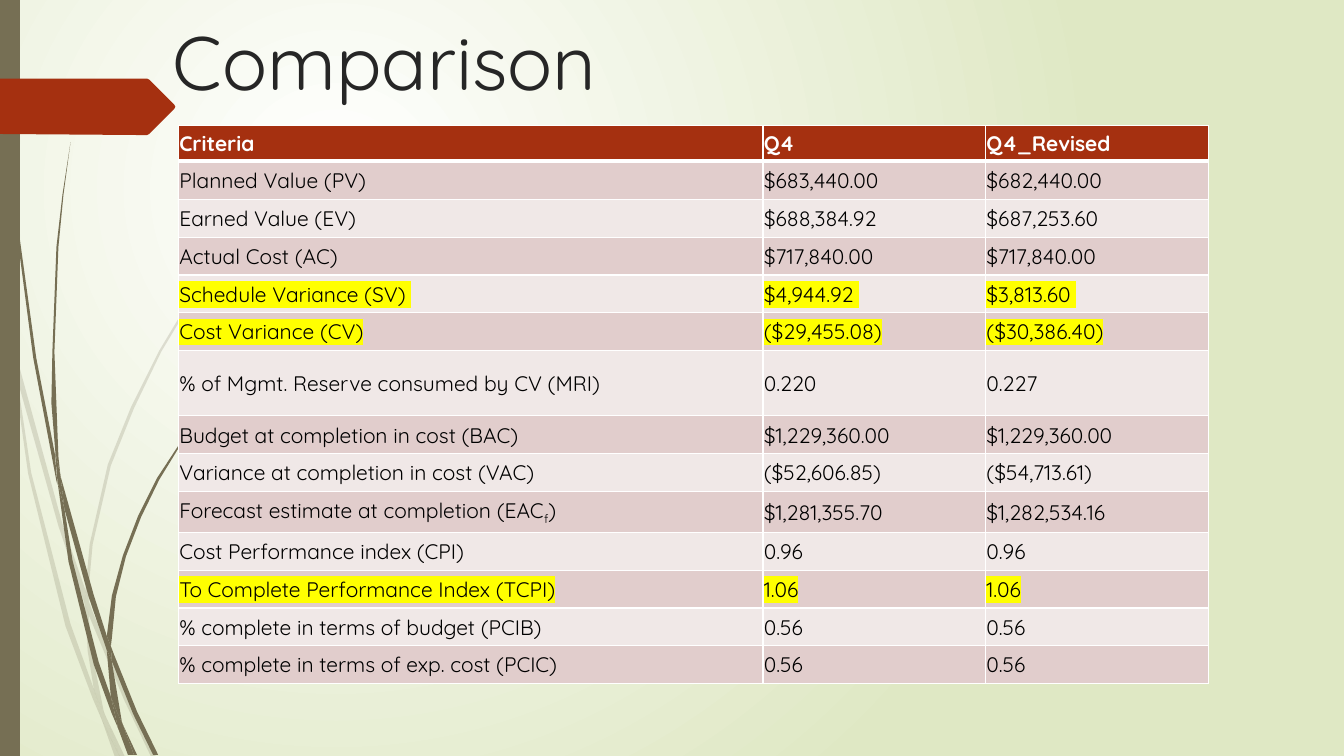
from dataclasses import dataclass
from typing import NamedTuple

from lxml import etree
from pptx import Presentation
from pptx.dml.color import RGBColor
from pptx.enum.shapes import MSO_SHAPE
from pptx.enum.text import MSO_ANCHOR
from pptx.oxml.ns import qn
from pptx.shapes.autoshape import Shape
from pptx.shapes.shapetree import GroupShapes, SlideShapes
from pptx.slide import Slide
from pptx.table import _Cell
from pptx.text.text import _Paragraph
from pptx.util import Cm, Pt

RECTANGLE = MSO_SHAPE.RECTANGLE
MIDDLE, TOP = MSO_ANCHOR.MIDDLE, MSO_ANCHOR.TOP
OUTLINE_UNIT = Cm(2.54) / 100  # outlines count hundredths of an inch

Points = list[tuple[int, int]]


@dataclass(frozen=True)
class Theme:
    font: str = "Quicksand"
    title_size: int = 54
    table_size: int = 15
    title: str = "262626"
    body: str = "000000"
    white: str = "FFFFFF"
    accent: str = "A53010"
    stem: str = "766F54"
    backdrop: str = "DFE8C4"
    marker: str = "FFFF00"
    bands: tuple[str, str] = ("E1CDCC", "F0E8E7")


class Row(NamedTuple):
    criteria: str
    q4: str
    revised: str
    height: float = 0.95
    marked: bool = False
    subscript: str = ""


class Plant(NamedTuple):
    opacity: int
    blades: list[Points]


THEME = Theme()

HEADER = Row("Criteria", "Q4", "Q4_Revised", 0.89)
ROWS = [
    Row("Planned Value (PV)", "$683,440.00", "$682,440.00", 0.98),
    Row("Earned Value (EV)", "$688,384.92", "$687,253.60"),
    Row("Actual Cost (AC)", "$717,840.00", "$717,840.00"),
    Row("Schedule Variance (SV) ", "$4,944.92 ", "$3,813.60 ", marked=True),
    Row("Cost Variance (CV)", "($29,455.08)", "($30,386.40)", marked=True),
    Row("% of Mgmt. Reserve consumed by CV (MRI)", "0.220", "0.227", 1.65),
    Row("Budget at completion in cost (BAC)", "$1,229,360.00", "$1,229,360.00"),
    Row("Variance at completion in cost (VAC)", "($52,606.85)", "($54,713.61)"),
    Row("Forecast estimate at completion (EAC", "$1,281,355.70", "$1,282,534.16", 1.04, subscript="f"),
    Row("Cost Performance index (CPI)", "0.96", "0.96"),
    Row("To Complete Performance Index (TCPI)", "1.06", "1.06", marked=True),
    Row("% complete in terms of budget (PCIB)", "0.56", "0.56"),
    Row("% complete in terms of exp. cost (PCIC)", "0.56", "0.56"),
]
COLUMN_WIDTHS = (14.73, 5.61, 5.61)

PALE_PLANT = Plant(20, [
    [(11, 350), (9, 322), (0, 282), (0, 299), (10, 344)],
    [(58, 522), (84, 599), (85, 586), (62, 520), (14, 345), (17, 376)],
    [(92, 607), (88, 596), (88, 610), (123, 694), (150, 751), (155, 751), (127, 692)],
    [(119, 751), (124, 751), (105, 711)],
    [(93, 683), (70, 619), (31, 469), (17, 376), (11, 350), (28, 470), (65, 621), (92, 693),
     (101, 714), (99, 707)],
    [(84, 599), (87, 646), (93, 683), (96, 692), (105, 711), (103, 706), (91, 646), (88, 610),
     (88, 608)],
    [(88, 584), (92, 540), (110, 462), (133, 405), (160, 349), (193, 294), (229, 245), (268, 198),
     (290, 175), (312, 154), (312, 153), (289, 175), (268, 197), (228, 244), (191, 293),
     (158, 348), (130, 404), (107, 461), (89, 540), (85, 584), (85, 586), (88, 596)],
    [(101, 714), (114, 751), (119, 751)],
    [(88, 608), (88, 610), (88, 596), (85, 586), (84, 599)],
    [(96, 692), (93, 683), (99, 707), (101, 714), (119, 751), (105, 711)],
])
DARK_PLANT = Plant(100, [
    [(7, 110), (17, 233), (33, 355), (56, 477), (57, 481), (55, 457), (55, 453), (36, 355),
     (19, 232), (8, 109), (5, 48), (4, 0), (3, 0), (4, 48)],
    [(88, 592), (106, 645), (106, 631), (93, 590), (60, 472), (64, 505)],
    [(113, 649), (110, 641), (111, 656), (132, 708), (152, 749), (157, 749), (136, 706)],
    [(110, 691), (98, 657), (72, 556), (64, 505), (57, 477), (68, 557), (93, 659), (111, 708),
     (117, 722), (116, 717)],
    [(60, 472), (58, 453), (54, 349), (58, 245), (63, 193), (70, 141), (62, 193), (56, 245),
     (52, 349), (51, 400), (55, 449)],
    [(133, 749), (136, 749), (122, 719)],
    [(57, 477), (64, 505), (60, 472), (55, 449), (55, 453)],
    [(111, 633), (115, 592), (125, 552), (140, 513), (158, 476), (180, 440), (205, 406),
     (231, 374), (245, 359), (261, 344), (260, 344), (245, 358), (231, 373), (204, 405),
     (179, 439), (156, 474), (137, 512), (122, 551), (111, 591), (106, 631), (110, 641)],
    [(117, 722), (127, 749), (131, 749)],
    [(106, 645), (110, 691), (116, 706), (122, 719), (121, 716), (111, 656), (109, 651)],
    [(106, 645), (109, 651), (111, 656), (110, 641), (106, 631)],
    [(116, 706), (110, 691), (116, 717), (117, 722), (130, 749), (133, 749), (122, 719)],
])
ARROW: Points = [(0, 78), (146, 78), (148, 79), (173, 104), (174, 106), (173, 108), (148, 133),
                 (146, 134), (136, 134), (0, 133)]


def rgb(code: str) -> RGBColor:
    return RGBColor.from_string(code)


def paint(shape: Shape, colour: str, opacity: int = 100) -> None:
    shape.shadow.inherit = False
    shape.line.fill.background()
    shape.fill.solid()
    shape.fill.fore_color.rgb = rgb(colour)
    if opacity < 100:
        tint = shape.fill._xPr.find(qn("a:solidFill"))[0]
        etree.SubElement(tint, qn("a:alpha"), val=str(opacity * 1000))


def draw_outline(shapes: SlideShapes | GroupShapes, points: Points, colour: str,
                 opacity: int = 100) -> None:
    start, *rest = points
    outline = shapes.build_freeform(*start, scale=OUTLINE_UNIT)
    outline.add_line_segments(rest, close=True)
    paint(outline.convert_to_shape(), colour, opacity)


def write(para: _Paragraph, text: str, size: int, colour: str, bold: bool = False,
          marked: bool = False, lowered: bool = False) -> None:
    span = para.add_run()
    span.text = text
    span.font.color.rgb = rgb(colour)
    for name, value in {"name": THEME.font, "size": Pt(size), "bold": bold}.items():
        setattr(span.font, name, value)
    properties = span.font._element
    if lowered:
        properties.set("baseline", "-25000")
    if marked:
        highlight = etree.Element(qn("a:highlight"))
        etree.SubElement(highlight, qn("a:srgbClr"), val=THEME.marker)
        properties.find(qn("a:solidFill")).addnext(highlight)


def draw_borders(cell: _Cell, bottom: float) -> None:
    properties = cell._tc.get_or_add_tcPr()
    widths = {"a:lnL": 1, "a:lnR": 1, "a:lnT": 1, "a:lnB": bottom}
    for place, (tag, width) in enumerate(widths.items()):
        border = etree.Element(qn(tag), w=str(Pt(width)))
        fill = etree.SubElement(border, qn("a:solidFill"))
        etree.SubElement(fill, qn("a:srgbClr"), val=THEME.white)
        properties.insert(place, border)


def draw_background(page: Slide) -> None:
    fill = page.background.fill
    fill.gradient()
    for stop, position, colour in zip(fill.gradient_stops, (0, 1), (THEME.white, THEME.backdrop)):
        stop.position = position
        stop.color.rgb = rgb(colour)
    gradient = page._element.find(".//" + qn("a:gradFill"))
    gradient.remove(gradient.find(qn("a:lin")))
    circle = etree.SubElement(gradient, qn("a:path"), {"path": "circle"})
    etree.SubElement(circle, qn("a:fillToRect"), l="50000", t="50000", r="100000", b="100000")


def draw_table(page: Slide) -> None:
    rows = [HEADER, *ROWS]
    frame = page.shapes.add_table(len(rows), len(COLUMN_WIDTHS), Cm(4.5), Cm(3.16),
                                  Cm(sum(COLUMN_WIDTHS)), Cm(sum(row.height for row in rows)))
    table = frame.table
    table.horz_banding = False
    for column, width in zip(table.columns, COLUMN_WIDTHS):
        column.width = Cm(width)
    cell_format = {"margin_left": Cm(0.02), "margin_right": Cm(0.02), "margin_top": Cm(0.02),
                   "margin_bottom": 0, "vertical_anchor": MIDDLE}
    for number, row in enumerate(rows):
        is_header = number == 0
        table.rows[number].height = Cm(row.height)
        colour = THEME.white if is_header else THEME.body
        for place, text in enumerate((row.criteria, row.q4, row.revised)):
            cell = table.cell(number, place)
            for name, value in cell_format.items():
                setattr(cell, name, value)
            cell.fill.solid()
            cell.fill.fore_color.rgb = rgb(THEME.accent if is_header else THEME.bands[(number - 1) % 2])
            draw_borders(cell, bottom=3 if is_header else 1)
            para = cell.text_frame.paragraphs[0]
            write(para, text, THEME.table_size, colour, is_header, row.marked)
            if row.subscript and place == 0:
                write(para, row.subscript, THEME.table_size, colour, lowered=True)
                write(para, ")", THEME.table_size, colour)


def main() -> None:
    deck = Presentation()
    deck.slide_width, deck.slide_height = Cm(33.87), Cm(19.05)
    page = deck.slides.add_slide(deck.slide_layouts[6])
    draw_background(page)

    # Grass, side bar and arrow
    for plant in (PALE_PLANT, DARK_PLANT):
        group = page.shapes.add_group_shape()
        for blade in plant.blades:
            draw_outline(group.shapes, blade, THEME.stem, plant.opacity)
    paint(page.shapes.add_shape(RECTANGLE, 0, 0, Cm(0.5), deck.slide_height), THEME.stem)
    draw_outline(page.shapes, ARROW, THEME.accent)

    # Title
    box = page.shapes.add_textbox(Cm(4.11), Cm(0.25), Cm(27.3), Cm(2.9))
    box.text_frame.word_wrap = True
    box.text_frame.vertical_anchor = TOP
    write(box.text_frame.paragraphs[0], "Comparison", THEME.title_size, THEME.title)

    draw_table(page)
    deck.save("out.pptx")


if __name__ == "__main__":
    main()
